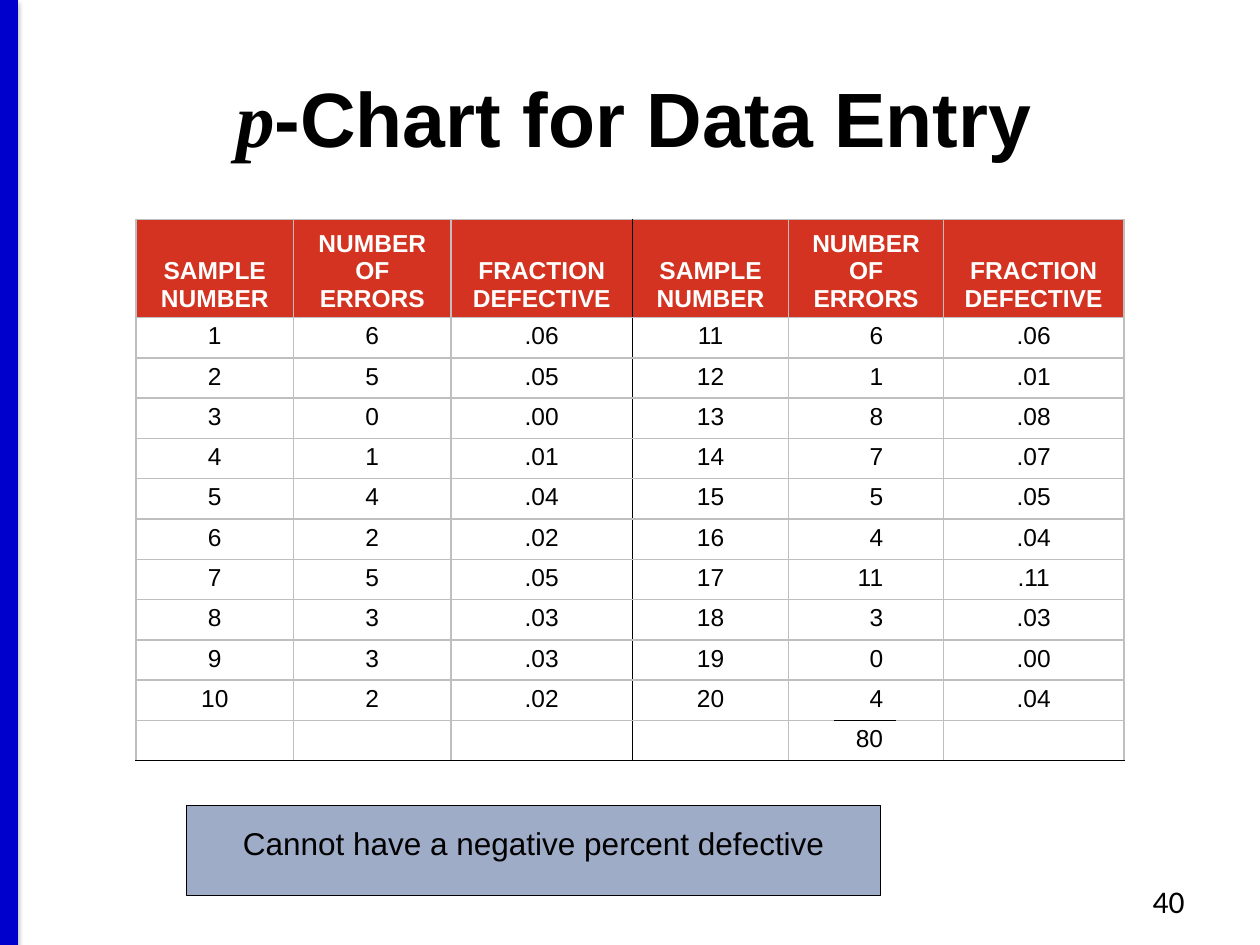
from lxml import etree
from pptx import Presentation
from pptx import util as u
from pptx.dml.color import RGBColor
from pptx.enum import shapes, text
from pptx.oxml import parse_xml
from pptx.oxml.ns import nsdecls, qn

BLACK, WHITE, GREY, RED = "000000", "FFFFFF", "BFBFBF", "D33320"
ALIGN = text.PP_ALIGN


def color(value):
    return RGBColor.from_string(value)


def style(paragraph, size, name="Arial", value=BLACK, bold=False, align=ALIGN.CENTER):
    paragraph.alignment = align
    font = paragraph.font
    font.size, font.name, font.bold = u.Pt(size), name, bold
    font.color.rgb = color(value)


presentation = Presentation()
presentation.slide_width, presentation.slide_height = u.Inches(10), u.Inches(7.5)
slide = presentation.slides.add_slide(presentation.slide_layouts[6])

# Blue stripe along the left edge, with a soft shadow
stripe = slide.shapes.add_connector(
    shapes.MSO_CONNECTOR.STRAIGHT, u.Inches(0.07), 0, u.Inches(0.07), u.Inches(7.5))
stripe.line.color.rgb = color("0000CC")
stripe.line.width = u.Pt(10)
stripe._element.spPr.append(parse_xml(
    f'<a:effectLst {nsdecls("a")}><a:outerShdw blurRad="{u.Pt(3.1)}" dist="{u.Pt(1.6)}" '
    'dir="5400000" rotWithShape="0"><a:srgbClr val="000000"><a:alpha val="38000"/>'
    '</a:srgbClr></a:outerShdw></a:effectLst>'))

# Title
title = slide.shapes.add_textbox(u.Inches(0.07), u.Inches(0.3), u.Inches(9.93), u.Inches(1.25))
title.text_frame.word_wrap = True
title.text_frame.vertical_anchor = text.MSO_ANCHOR.MIDDLE
paragraph = title.text_frame.paragraphs[0]
style(paragraph, 44, bold=True)
symbol = paragraph.add_run()
symbol.text = "p"
symbol.font.name, symbol.font.italic = "Times New Roman", True
paragraph.add_run().text = "-Chart for Data Entry"

# Slide number
number = slide.shapes.add_textbox(u.Inches(7.17), u.Inches(6.95), u.Inches(2.33), u.Inches(0.4))
number.text_frame.word_wrap = True
number.text_frame.text = "40"
style(number.text_frame.paragraphs[0], 18, "Calibri", align=ALIGN.RIGHT)

# Table contents: the fraction is the number of errors in a sample of 100
errors = [6, 5, 0, 1, 4, 2, 5, 3, 3, 2, 6, 1, 8, 7, 5, 4, 11, 3, 0, 4]
half = len(errors) // 2
headings = ["SAMPLE NUMBER", "NUMBER OF ERRORS", "FRACTION DEFECTIVE"]
rows = [headings + headings[:2] + ["", ""] + headings[2:]]
for index in range(half):
    left, right = errors[index], errors[index + half]
    rows.append([str(index + 1), str(left), f".{left:02d}",
                 str(index + half + 1), "", str(right), "", f".{right:02d}"])
rows.append([""] * 5 + [str(sum(errors))] + [""] * 2)

# Table grid; the right-hand errors column is made of three narrow columns
widths = [1.25, 1.25, 1.44, 1.24, 0.36, 0.49, 0.38, 1.43]
heights = [0.75] + [0.32] * (len(rows) - 1)
last = len(rows) - 1
total_column = 5
table = slide.shapes.add_table(
    len(rows), len(widths), u.Inches(1.08), u.Inches(1.74),
    u.Inches(sum(widths)), u.Inches(sum(heights))).table
table.first_row = table.horz_banding = False
for column, width in zip(table.columns, widths):
    column.width = u.Inches(width)
for row, height in zip(table.rows, heights):
    row.height = u.Inches(height)
table.cell(0, 4).merge(table.cell(0, 6))

for r, values in enumerate(rows):
    for c, value in enumerate(values):
        cell = table.cell(r, c)
        cell.margin_top = cell.margin_bottom = u.Inches(0.04)
        header = r == 0

        # Borders: black between the halves, around the total and at the foot
        edges = {"L": GREY, "R": GREY, "T": GREY, "B": GREY}
        if c == 2:
            edges["R"] = BLACK
        if c == 3:
            edges["L"] = BLACK
        if r == last or (r == last - 1 and c == total_column):
            edges["B"] = BLACK
        if r == last and c == total_column:
            edges["T"] = BLACK
        if not header and c in (5, 6):
            edges["L"] = None
        if not header and c in (4, 5):
            edges["R"] = None
        properties = cell._tc.get_or_add_tcPr()
        for side, edge in edges.items():
            line = etree.SubElement(properties, qn(f"a:ln{side}"), w=str(u.Pt(1)))
            if edge:
                fill = etree.SubElement(line, qn("a:solidFill"))
                etree.SubElement(fill, qn("a:srgbClr"), val=edge)
            else:
                etree.SubElement(line, qn("a:noFill"))

        # Fill and text
        if header:
            cell.fill.solid()
            cell.fill.fore_color.rgb = color(RED)
            cell.vertical_anchor = text.MSO_ANCHOR.BOTTOM
        else:
            cell.fill.background()
        if value:
            cell.text_frame.text = value
            align = ALIGN.RIGHT if c == total_column and not header else ALIGN.CENTER
            style(cell.text_frame.paragraphs[0], 14, value=WHITE if header else BLACK,
                  bold=header, align=align)
        else:
            etree.SubElement(cell.text_frame.paragraphs[0]._p, qn("a:endParaRPr"), sz="1400")

# Note below the table
note = slide.shapes.add_shape(
    shapes.MSO_SHAPE.RECTANGLE, u.Inches(1.48), u.Inches(6.39), u.Inches(5.51), u.Inches(0.72))
note.shadow.inherit = False
note.fill.solid()
note.fill.fore_color.rgb = color("9FACC7")
note.line.color.rgb = color(BLACK)
note.line.width = u.Pt(0.75)
frame = note.text_frame
frame.word_wrap = True
frame.vertical_anchor = text.MSO_ANCHOR.TOP
frame.margin_left = frame.margin_right = frame.margin_bottom = u.Inches(0.2)
frame.margin_top = u.Inches(0.15)
frame.text = "Cannot have a negative percent defective"
style(frame.paragraphs[0], 18)

presentation.save("out.pptx")
